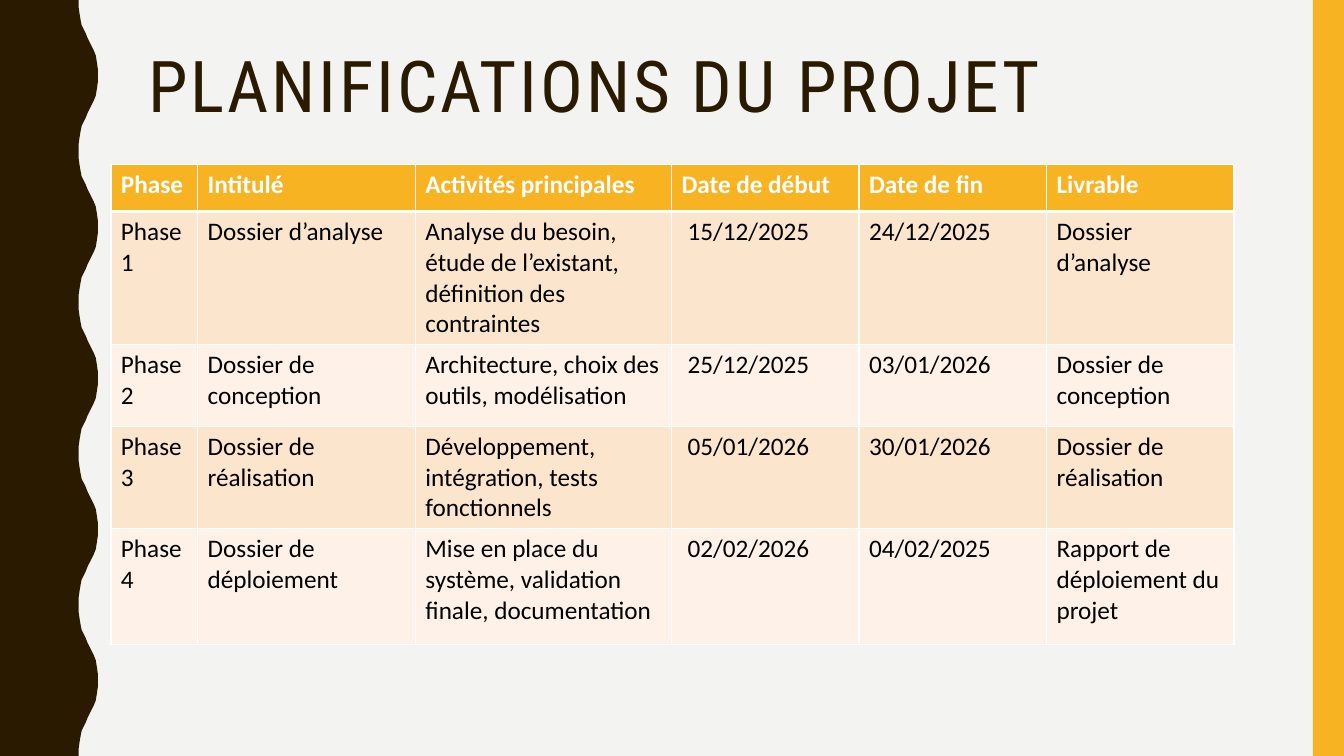
"""Build the project planning slide: title, schedule table and side decorations."""
from lxml import etree
from pptx import Presentation
from pptx.dml.color import RGBColor
from pptx.enum.shapes import MSO_SHAPE
from pptx.enum.text import MSO_ANCHOR, MSO_AUTO_SIZE, PP_ALIGN
from pptx.oxml.ns import qn
from pptx.util import Inches, Pt

RECTANGLE = MSO_SHAPE.RECTANGLE
MIDDLE = MSO_ANCHOR.MIDDLE
NO_FIT = MSO_AUTO_SIZE.NONE
LEFT = PP_ALIGN.LEFT

COLORS = {
    "background": "F3F3F2",
    "brown": "2A1A00",
    "gold": "F8B323",
    "peach": "FCE5CD",
    "cream": "FEF2E8",
    "white": "FFFFFF",
    "black": "000000",
}

HALF_WAVE = [
    (0.78, 0), (0.78, 0.07), (0.79, 0.14), (0.8, 0.2), (0.81, 0.25), (0.83, 0.29),
    (0.85, 0.33), (0.87, 0.38), (0.89, 0.42), (0.91, 0.46), (0.93, 0.5),
    (0.95, 0.55), (0.96, 0.61), (0.97, 0.68), (0.97, 0.75),
]
WAVE_HEIGHT = 1.5
WAVE_COUNT = 5

COLUMN_WIDTHS = [0.86, 2.16, 2.54, 1.86, 1.86, 1.86]
ROW_HEIGHTS = [0.47, 1.15, 0.81, 0.81, 1.15]
START_DATE_COLUMN = 3
SCHEDULE = [
    ["Phase", "Intitulé", "Activités principales", "Date de début", "Date de fin", "Livrable"],
    ["Phase 1", "Dossier d’analyse",
     "Analyse du besoin, étude de l’existant, définition des contraintes",
     "15/12/2025", "24/12/2025", "Dossier d’analyse"],
    ["Phase 2", "Dossier de conception", "Architecture, choix des outils, modélisation",
     "25/12/2025", "03/01/2026", "Dossier de conception"],
    ["Phase 3", "Dossier de réalisation", "Développement, intégration, tests fonctionnels",
     "05/01/2026", "30/01/2026", "Dossier de réalisation"],
    ["Phase 4", "Dossier de déploiement",
     "Mise en place du système, validation finale, documentation",
     "02/02/2026", "04/02/2025", "Rapport de déploiement du projet"],
]


def color(name):
    return RGBColor.from_string(COLORS[name])


def add_border(cell, side, width):
    line = etree.SubElement(cell._tc.get_or_add_tcPr(), qn(f"a:ln{side}"), w=str(Pt(width)))
    fill = etree.SubElement(line, qn("a:solidFill"))
    etree.SubElement(fill, qn("a:srgbClr"), val=COLORS["white"])


deck = Presentation()
deck.slide_width = Inches(13.33)
deck.slide_height = Inches(7.5)
page = deck.slides.add_slide(deck.slide_layouts[5])
page.background.fill.solid()
page.background.fill.fore_color.rgb = color("background")

full_wave = HALF_WAVE + [(x, WAVE_HEIGHT - y) for x, y in reversed(HALF_WAVE[:-1])]
edge = [(x, y + WAVE_HEIGHT * index) for index in range(WAVE_COUNT) for x, y in full_wave]
outline = [(Inches(x), Inches(y)) for x, y in edge + [(0, 7.5)]]
builder = page.shapes.build_freeform(0, 0, scale=1.0)
builder.add_line_segments(outline, close=True)
wavy_band = builder.convert_to_shape()
gold_band = page.shapes.add_shape(RECTANGLE, Inches(13.02), 0, Inches(0.31), Inches(7.5))
for band, name in [(wavy_band, "brown"), (gold_band, "gold")]:
    band.shadow.inherit = False
    band.fill.solid()
    band.fill.fore_color.rgb = color(name)
    band.line.fill.background()

title = page.shapes.title
title.left, title.top = Inches(1.37), Inches(0.42)
title.width, title.height = Inches(11.13), Inches(0.94)
title.text_frame.text = "PLANIFICATIONS DU PROJET"
title.text_frame.word_wrap = True
title.text_frame.auto_size = NO_FIT
title.text_frame.vertical_anchor = MIDDLE
heading = title.text_frame.paragraphs[0]
heading.alignment = LEFT
heading.line_spacing = 0.9
heading.font.name = "Roboto Condensed"
heading.font.size = Pt(51)
heading.font.color.rgb = color("brown")
heading.runs[0]._r.get_or_add_rPr().set("spc", "200")

table = page.shapes.add_table(
    len(SCHEDULE), len(COLUMN_WIDTHS), Inches(1.1), Inches(1.63),
    Inches(sum(COLUMN_WIDTHS)), Inches(sum(ROW_HEIGHTS))).table
for column, width in zip(table.columns, COLUMN_WIDTHS):
    column.width = Inches(width)
for row_index, (height, texts) in enumerate(zip(ROW_HEIGHTS, SCHEDULE)):
    table.rows[row_index].height = Inches(height)
    is_header = row_index == 0
    row_fill = "gold" if is_header else ("cream", "peach")[row_index % 2]
    for column_index, text in enumerate(texts):
        cell = table.cell(row_index, column_index)
        cell.text = text
        if column_index == START_DATE_COLUMN and not is_header:
            cell.margin_left = Inches(0.16)
        top_width = 3 if row_index == 1 else 1
        bottom_width = 3 if is_header else 1
        for side, width in [("L", 1), ("R", 1), ("T", top_width), ("B", bottom_width)]:
            add_border(cell, side, width)
        cell.fill.solid()
        cell.fill.fore_color.rgb = color(row_fill)
        para = cell.text_frame.paragraphs[0]
        para.font.name = "Calibri"
        para.font.size = Pt(18)
        para.font.bold = is_header
        para.font.color.rgb = color("white" if is_header else "black")

deck.save("out.pptx")
